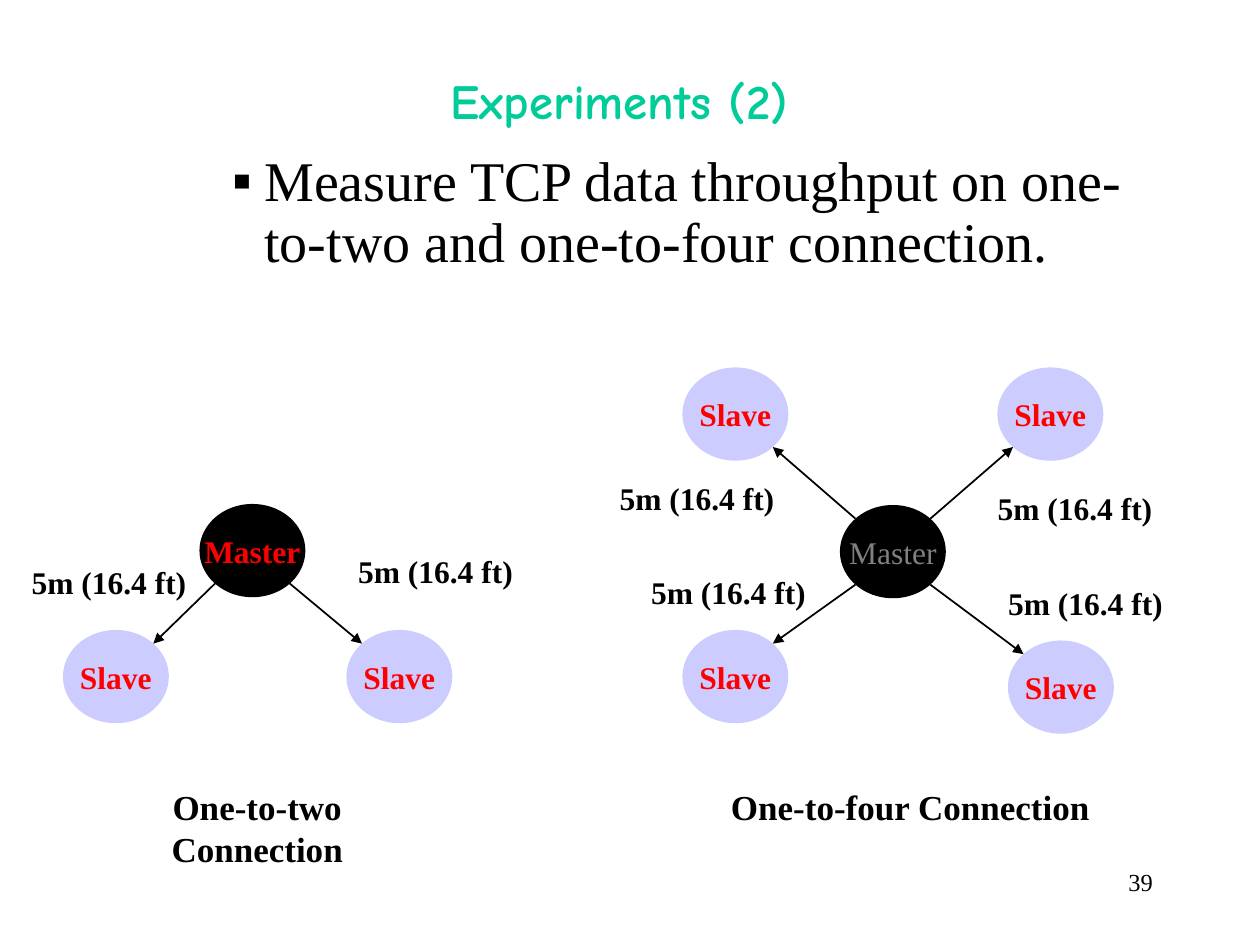
from math import sqrt
from pptx import Presentation
from pptx.dml.color import RGBColor
from pptx.enum.shapes import MSO_CONNECTOR as Connector, MSO_SHAPE as Shape
from pptx.enum.text import MSO_ANCHOR as Anchor, MSO_AUTO_SIZE as AutoSize, PP_ALIGN as Align
from pptx.oxml.ns import qn
from pptx.util import Inches, Pt
from lxml.etree import SubElement

COLORS = {"title": "00CC99", "ink": "000000", "slave": "CCCCFF",
          "name": "FF0000", "muted": "808080"}
SERIF, COMIC = "Times New Roman", "Comic Neue"
DISTANCE = "5m (16.4 ft)"


def color(name):
    return RGBColor.from_string(COLORS[name])


def write(frame, text, size=18, font=SERIF, ink="ink", bold=True,
          align=Align.CENTER, anchor=Anchor.TOP, wrap=False, bullet=None):
    """Put one formatted paragraph into a text frame."""
    frame.word_wrap = wrap
    frame.vertical_anchor = anchor
    para = frame.paragraphs[0]
    para.alignment = align
    if bullet:
        props = para._p.get_or_add_pPr()
        props.set("marL", str(Inches(1.25)))
        props.set("indent", str(Inches(-0.25)))
        para.line_spacing = 0.9
        SubElement(props, qn("a:buFont"), typeface=font)
        SubElement(props, qn("a:buChar"), char=bullet)
    span = para.add_run()
    span.text = text
    span.font.size, span.font.name, span.font.bold = Pt(size), font, bold
    span.font.color.rgb = color(ink)


class Diagram:
    """Places elements on a grid of 120 columns by 90 rows."""
    COLUMNS, ROWS = 120, 90
    NODE_WIDTH, NODE_HEIGHT = 10.08, 8.88

    def __init__(self, deck):
        self.page = deck.slides.add_slide(deck.slide_layouts[6])
        self.column = deck.slide_width / self.COLUMNS
        self.row = deck.slide_height / self.ROWS

    def place(self, column, row):
        return round(column * self.column), round(row * self.row)

    def text(self, column, row, width, height, text, margins=True, grow=False, **style):
        box = self.page.shapes.add_textbox(*self.place(column, row),
                                           *self.place(width, height))
        frame = box.text_frame
        if not margins:
            frame.margin_left = frame.margin_right = 0
            frame.margin_top = frame.margin_bottom = 0
        frame.auto_size = AutoSize.SHAPE_TO_FIT_TEXT if grow else AutoSize.NONE
        write(frame, text, **style)

    def node(self, column, row, text, fill, **style):
        oval = self.page.shapes.add_shape(
            Shape.OVAL, *self.place(column, row),
            *self.place(self.NODE_WIDTH, self.NODE_HEIGHT))
        oval.shadow.inherit = False
        oval.fill.solid()
        oval.fill.fore_color.rgb = color(fill)
        oval.line.fill.background()
        write(oval.text_frame, text, anchor=Anchor.MIDDLE, **style)

    def rim(self, spot, toward):
        """Diagonal rim point of the node at spot, on the side facing toward."""
        sizes = (self.NODE_WIDTH, self.NODE_HEIGHT)
        return self.place(*(
            start + size / 2 * (1 + (1 if end > start else -1) / sqrt(2))
            for start, end, size in zip(spot, toward, sizes)))

    def arrow(self, master, slave):
        line = self.page.shapes.add_connector(
            Connector.STRAIGHT, *self.rim(master, slave), *self.rim(slave, master))
        line.line.color.rgb = color("ink")
        line.line.width = Pt(1)
        SubElement(line.line._get_or_add_ln(), qn("a:tailEnd"), type="triangle")
        SubElement(line._element.spPr, qn("a:effectLst"))

    def network(self, master, slaves, labels, master_style):
        self.node(*master, "Master", "ink", **master_style)
        for slave in slaves:
            self.node(*slave, "Slave", "slave", ink="name")
            self.arrow(master, slave)
        for label in labels:
            self.text(*label, 17.16, 4.8, DISTANCE, grow=True)


def main():
    deck = Presentation()
    deck.slide_width, deck.slide_height = Inches(10), Inches(7.5)
    diagram = Diagram(deck)

    # Page number, title and statement
    diagram.text(86, 82, 25, 6, "39", size=14, bold=False, align=Align.RIGHT, wrap=True)
    diagram.text(8, 2, 102, 15, "Experiments (2)", margins=False, size=28,
                 font=COMIC, ink="title", anchor=Anchor.MIDDLE, wrap=True)
    diagram.text(9, 14, 102, 14,
                 "Measure TCP data throughput on one-to-two and one-to-four connection.",
                 size=32, bold=False, align=Align.LEFT, wrap=True, bullet="▪")

    # One master with two slaves
    diagram.network((19, 48), [(33, 60), (6, 60)],
                    [(32.9, 52), (1.8, 53)], {"ink": "name"})
    diagram.text(6.7, 74.2, 35.6, 5.3, "One-to-two Connection", size=20, grow=True)

    # One master with four slaves
    diagram.network((80, 48.1), [(96, 61), (95, 35), (65, 35), (65, 60)],
                    [(57.8, 45), (93.8, 46), (60.8, 54), (94.8, 55)],
                    {"ink": "muted", "bold": False})
    diagram.text(68.4, 74.2, 36.6, 5.3, "One-to-four Connection", size=20, grow=True)

    deck.save("out.pptx")


if __name__ == "__main__":
    main()
